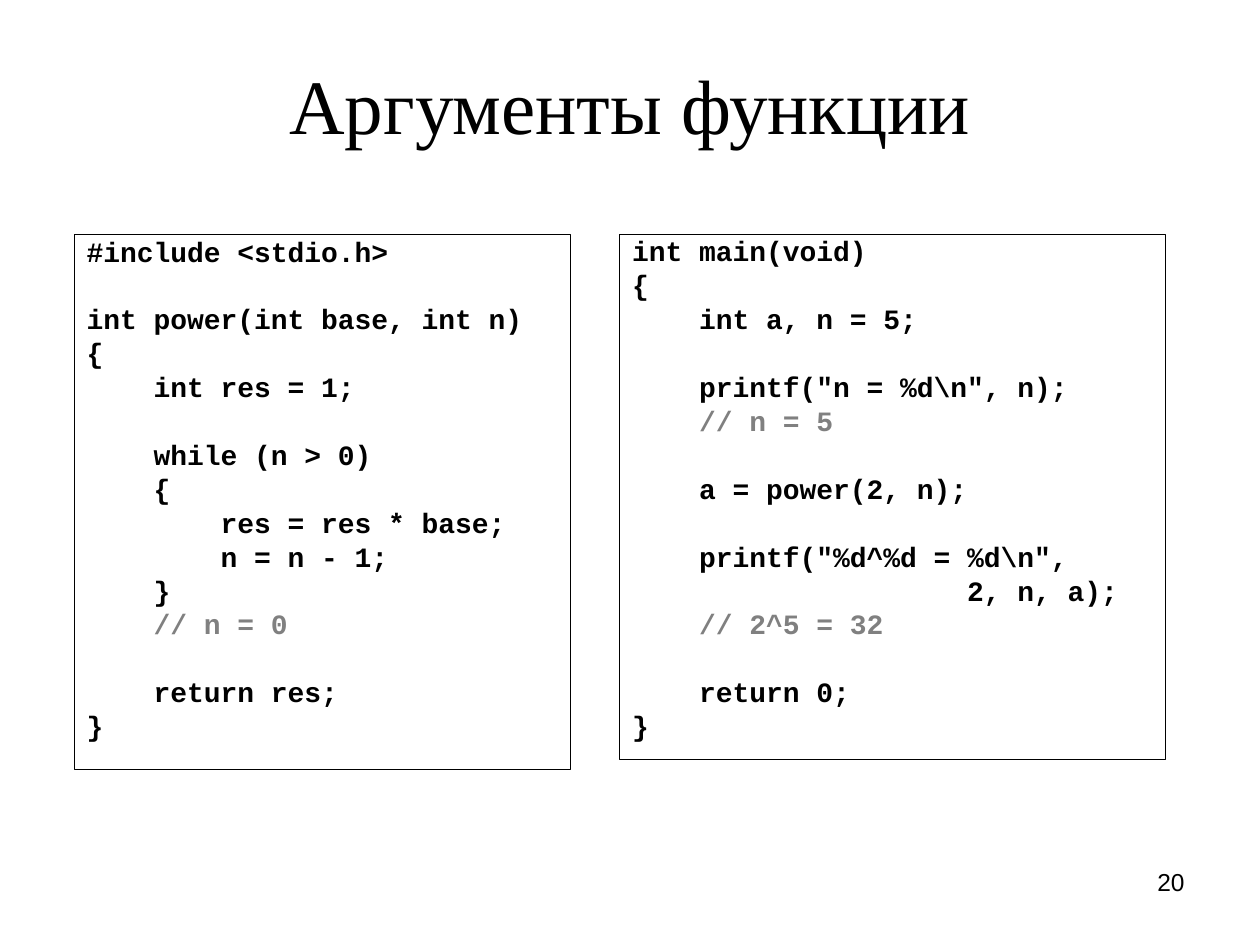
from pptx import Presentation
from pptx.dml.color import RGBColor
from pptx.enum.shapes import MSO_SHAPE
from pptx.enum.text import MSO_ANCHOR, PP_ALIGN
from pptx.util import Pt

RECT = MSO_SHAPE.RECTANGLE
TOP, MIDDLE = MSO_ANCHOR.TOP, MSO_ANCHOR.MIDDLE
LEFT, CENTER, RIGHT = PP_ALIGN.LEFT, PP_ALIGN.CENTER, PP_ALIGN.RIGHT

COLORS = {"text": "000000", "comment": "808080"}
CODE_FONT = {"name": "Courier New", "size": Pt(16), "bold": True}
LINE_SPACING = 0.8
LINE_GAP = 4
EMPTY_LINE = 19.4

POWER_CODE = r"""#include <stdio.h>

int power(int base, int n)
{
    int res = 1;

    while (n > 0)
    {
        res = res * base;
        n = n - 1;
    }
    // n = 0

    return res;
}"""

MAIN_CODE = r"""int main(void)
{
    int a, n = 5;

    printf("n = %d\n", n);
    // n = 5

    a = power(2, n);

    printf("%d^%d = %d\n",
                    2, n, a);
    // 2^5 = 32

    return 0;
}"""


def add_run(p, text, color, font):
    r = p.add_run()
    r.text = text
    r.font.color.rgb = RGBColor.from_string(COLORS[color])
    for name, value in font.items():
        setattr(r.font, name, value)


prs = Presentation()
prs.slide_width, prs.slide_height = Pt(720), Pt(540)
s = prs.slides.add_slide(prs.slide_layouts[6])

# Title and page number
labels = [
    ("Аргументы функции", (36, 21.6, 648, 67), CENTER, MIDDLE, 11.6,
     {"name": "Times New Roman", "size": Pt(44)}),
    ("20", (516.2, 491.8, 167.8, 37.4), RIGHT, TOP, 3.6,
     {"name": "Arial", "size": Pt(14)}),
]
for text, box, align, anchor, margin_top, font in labels:
    tf = s.shapes.add_textbox(*map(Pt, box)).text_frame
    tf.word_wrap = True
    tf.vertical_anchor = anchor
    tf.margin_top = Pt(margin_top)
    p = tf.paragraphs[0]
    p.alignment = align
    add_run(p, text, "text", font)

# Code panels: an empty source line becomes space before the next line
panels = [
    (POWER_CODE, (42.5, 133.9, 283.7, 306)),
    (MAIN_CODE, (354.2, 133.9, 311.8, 300.2)),
]
for code, box in panels:
    sp = s.shapes.add_shape(RECT, *map(Pt, box))
    sp.shadow.inherit = False
    sp.fill.background()
    sp.line.color.rgb = RGBColor.from_string(COLORS["text"])
    sp.line.width = Pt(0.75)
    tf = sp.text_frame
    tf.word_wrap = True
    tf.vertical_anchor = TOP
    p, gap = tf.paragraphs[0], 0
    for line in code.splitlines():
        if not line:
            gap += EMPTY_LINE
            continue
        if p.runs:
            p = tf.add_paragraph()
        p.alignment = LEFT
        p.line_spacing = LINE_SPACING
        p.space_before = Pt(gap)
        color = "comment" if line.lstrip().startswith("//") else "text"
        add_run(p, line, color, CODE_FONT)
        gap = LINE_GAP

prs.save("out.pptx")
